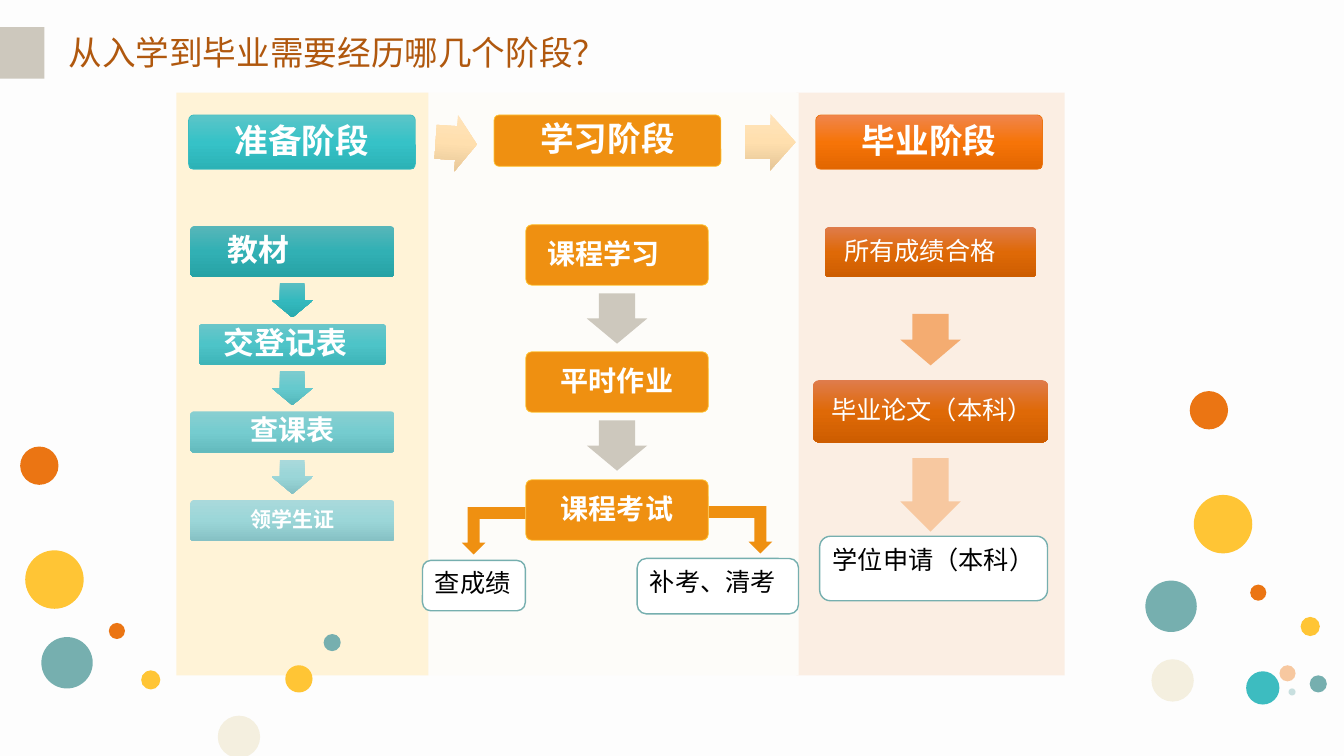
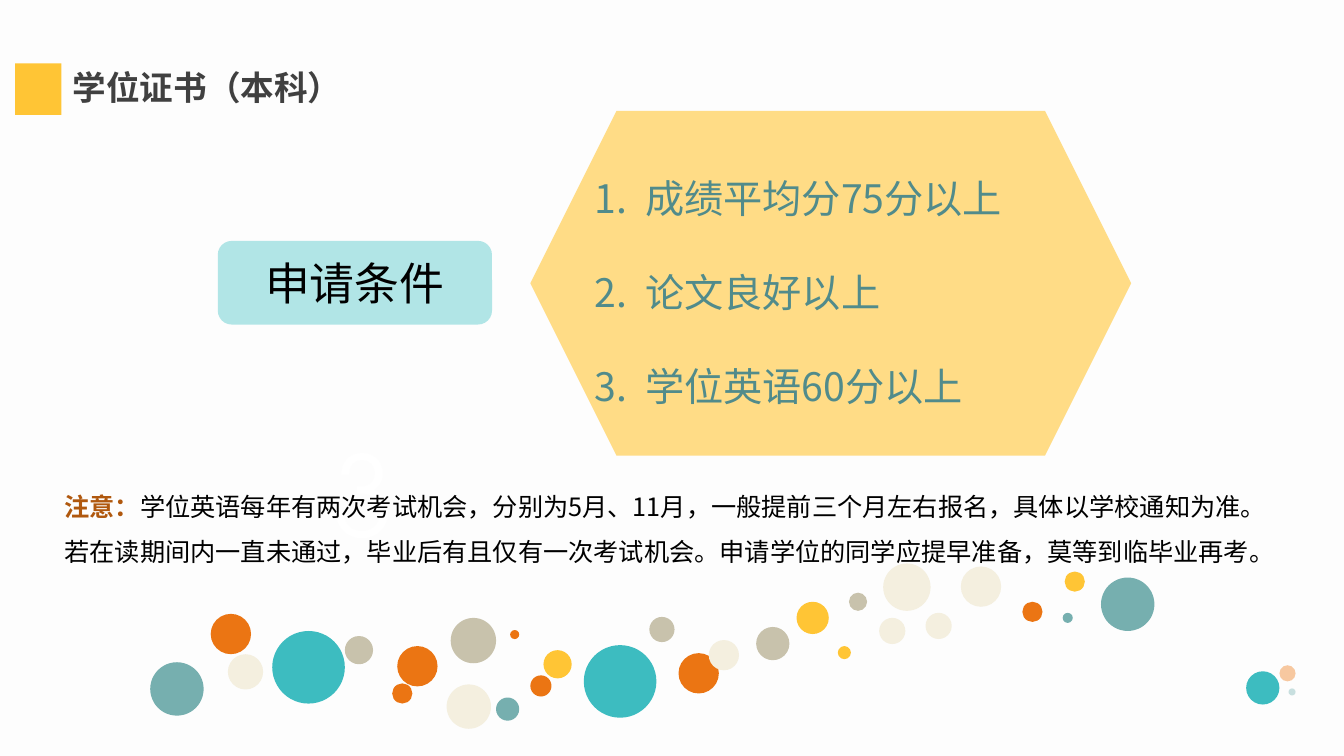
from dataclasses import dataclass

from lxml import etree
from pptx import Presentation
from pptx.dml.color import RGBColor
from pptx.enum import shapes as kinds, text as txt
from pptx.oxml.ns import qn
from pptx.util import Inches, Pt


@dataclass(frozen=True)
class Theme:
    font: str = "Noto Sans CJK SC"
    numeral_font: str = "TeX Gyre Adventor"
    paper: str = "FDFDFD"
    white: str = "FFFFFF"
    black: str = "000000"
    charcoal: str = "404040"
    rust: str = "B0580E"
    stone: str = "CDC8BD"
    taupe: str = "C8C2AC"
    ivory: str = "F4EFDF"
    teal: str = "3DBCC0"
    sage: str = "76AFAF"
    mist: str = "C8DFDF"
    deep_sage: str = "518B8B"
    aqua: str = "B1E5E6"
    gold: str = "FFC535"
    pale_gold: str = "FFDC86"
    cream: str = "FFF3D7"
    milk: str = "FDFCF9"
    amber: str = "EF9011"
    orange: str = "EB7513"
    apricot: str = "F4AC71"
    peach: str = "F7C8A0"
    sand_fade: tuple = ("FFE4BC", "FFDFAE", "E5C698")
    teal_fade: tuple = ("5CC5C8", "36C2C7", "2BB2B6")
    orange_fade: tuple = ("F0854C", "F67408", "E26600")
    brick_fade: tuple = ("DF7C4C", "DF6907", "CD5D00")
    teal_cards: tuple = (("58B6B9", "31B0B4", "27A2A5"), ("6BC6C9", "4DC4C8", "3EB4B8"),
                         ("89CFD1", "75CCCF", "63BABD"), ("A9D9DB", "9BD6D8", "86C1C4"))
    teal_arrows: tuple = (("5ABEC2", "34B9BE", "29AAAE"), ("7DCCCF", "65C9CD", "54B8BB"),
                          ("A9D9DB", "9AD6D8", "85C1C4"))
    title: int = 24
    heading: int = 24
    card_large: int = 22
    card: int = 20
    card_small: int = 15
    body: int = 18
    conditions: int = 28
    label: int = 32
    numeral: int = 80


T = Theme()
SHAPE = kinds.MSO_SHAPE
ALIGN = txt.PP_ALIGN
ANCHOR = txt.MSO_ANCHOR

CORNER_DOTS = [(12.36, 6.66, 0.33, T.teal), (12.69, 6.6, 0.16, T.peach), (12.78, 6.83, 0.07, T.mist)]

STAGES_TITLE = "从入学到毕业需要经历哪几个阶段？"
PANELS = [(7.9, 2.66, T.apricot, 18), (4.17, 3.75, T.milk, 100), (1.75, 2.5, T.cream, 100)]
STAGES = [
    {"heading": ("准备阶段", 1.87, 0.54, T.teal_fade, T.teal), "axis": 2.9, "outline": None,
     "cards": [("教材", T.card_large, True, 0.36, 2.24, 2.03, 0.51, T.teal_cards[0]),
               ("交登记表", T.card_large, True, 0.24, 3.21, 1.86, 0.41, T.teal_cards[1]),
               ("查课表", T.card, True, None, 4.08, 2.03, 0.41, T.teal_cards[2]),
               ("领学生证", T.card_small, True, None, 4.96, 2.03, 0.41, T.teal_cards[3])],
     "arrows": [(y, 0.41, 0.34, fade) for y, fade in zip((2.98, 3.85, 4.73), T.teal_arrows)]},
    {"heading": ("学习阶段", 4.9, 0.51, T.amber, T.gold), "axis": 6.12, "outline": T.gold,
     "cards": [("课程学习", T.card, True, 0.2, 2.23, 1.81, 0.6, T.amber),
               ("平时作业", T.card, True, None, 3.49, 1.81, 0.6, T.amber),
               ("课程考试", T.card, True, None, 4.76, 1.81, 0.6, T.amber)],
     "arrows": [(y, 0.6, 0.5, T.stone) for y in (3.16, 4.42)]},
    {"heading": ("毕业阶段", 8.09, 0.54, T.orange_fade, T.orange), "axis": 9.23, "outline": None,
     "cards": [("所有成绩合格", T.body, False, 0.18, 2.25, 2.1, 0.5, T.brick_fade),
               ("毕业论文（本科）", T.body, False, 0.16, 3.77, 2.33, 0.62, T.brick_fade)],
     "arrows": [(3.37, 0.6, 0.51, T.apricot), (4.91, 0.6, 0.73, T.peach)]},
]
STAGE_ARROWS = [(4.32, 1.14, 0.41, 3.7), (7.39, 1.13, 0.5, 0.2)]
EXAM_BRANCHES = [(4.58, 5.03, False), (7.03, 5.02, True)]
OUTCOMES = [("查成绩", 4.19, 5.56, 1.02, 0.5), ("补考、清考", 6.32, 5.54, 1.6, 0.55),
            ("学位申请（本科）", 8.13, 5.32, 2.26, 0.64)]
SIDE_DOTS = [
    (0.41, 6.32, 0.51, T.sage), (1.08, 6.18, 0.16, T.orange), (2.83, 6.6, 0.27, T.gold),
    (3.21, 6.29, 0.17, T.sage), (2.16, 7.1, 0.42, T.ivory), (1.4, 6.65, 0.19, T.gold),
    (0.2, 4.43, 0.38, T.orange), (0.25, 5.46, 0.58, T.gold), (11.36, 5.76, 0.51, T.sage),
    (12.4, 5.8, 0.16, T.orange), (11.42, 6.54, 0.42, T.ivory), (12.9, 6.12, 0.19, T.gold),
    (11.8, 3.88, 0.38, T.orange), (11.84, 4.91, 0.58, T.gold), (12.99, 6.7, 0.17, T.sage),
]

DEGREE_TITLE = "学位证书（本科）"
CONDITIONS_LABEL = "申请条件"
CONDITIONS = ["成绩平均分75分以上", "论文良好以上", "学位英语60分以上"]
NOTE_LEAD = "注意："
NOTE = ["学位英语每年有两次考试机会，分别为5月、11月，一般提前三个月左右报名，具体以学校通知为准。",
        "若在读期间内一直未通过，毕业后有且仅有一次考试机会。申请学位的同学应提早准备，莫等到临毕业再考。"]
STREAM_DOTS = [
    (8.31, 6.41, 0.13, T.gold), (5.06, 6.25, 0.09, T.orange), (7.5, 6.22, 0.33, T.taupe),
    (10.56, 5.67, 0.2, T.gold), (5.39, 6.45, 0.28, T.gold), (2.26, 6.49, 0.35, T.ivory),
    (3.89, 6.78, 0.2, T.orange), (10.14, 5.97, 0.2, T.orange), (2.09, 6.09, 0.4, T.orange),
    (3.94, 6.41, 0.4, T.orange), (4.47, 6.13, 0.45, T.taupe), (6.44, 6.12, 0.25, T.taupe),
    (8.42, 5.88, 0.18, T.taupe), (4.92, 6.92, 0.23, T.sage), (9.18, 6.08, 0.26, T.ivory),
    (8.72, 6.13, 0.26, T.ivory), (7.9, 5.97, 0.32, T.gold), (6.73, 6.48, 0.4, T.orange),
    (10.92, 5.73, 0.53, T.sage), (1.49, 6.57, 0.53, T.sage), (5.26, 6.7, 0.21, T.orange),
    (10.54, 6.08, 0.1, T.sage), (4.43, 6.79, 0.44, T.ivory), (3.42, 6.31, 0.28, T.taupe),
    (8.76, 5.59, 0.47, T.ivory), (9.53, 5.62, 0.4, T.ivory), (7.03, 6.35, 0.3, T.ivory),
    (2.7, 6.26, 0.72, T.teal), (5.79, 6.4, 0.72, T.teal),
]


def rgb(value):
    return RGBColor.from_string(value)


def paint(shape, fill, alpha=100):
    if isinstance(fill, str):
        shape.fill.solid()
        shape.fill.fore_color.rgb = rgb(fill)
        if alpha < 100:
            color = shape._element.spPr.find(qn("a:solidFill"))[0]
            etree.SubElement(color, qn("a:alpha"), val=str(alpha * 1000))
        return
    shape.fill.gradient()
    shape.fill.gradient_angle = 270
    stops = shape._element.spPr.find(qn("a:gradFill")).find(qn("a:gsLst"))
    for old_stop in list(stops):
        stops.remove(old_stop)
    for position, color in zip((0, 50000, 100000), fill):
        stop = etree.SubElement(stops, qn("a:gs"), pos=str(position))
        etree.SubElement(stop, qn("a:srgbClr"), val=color)


def add_part(slide, kind, left, top, width, height, fill, outline=None, weight=0.5, alpha=100):
    part = slide.shapes.add_shape(kind, Inches(left), Inches(top), Inches(width), Inches(height))
    part.shadow.inherit = False
    paint(part, fill, alpha)
    if outline:
        part.line.color.rgb = rgb(outline)
        part.line.width = Pt(weight)
    else:
        part.line.fill.background()
    return part


def style_run(run, size, color, bold=False, font=T.font):
    run.font.size = Pt(size)
    run.font.bold = bold
    run.font.color.rgb = rgb(color)
    run.font.name = font
    etree.SubElement(run.font._element, qn("a:ea"), typeface=font)


def write(frame, lines, size, color, bold=False, align=ALIGN.LEFT, anchor=ANCHOR.TOP,
          spacing=1.0, font=T.font):
    frame.text = "\n".join(lines)
    frame.word_wrap = True
    frame.auto_size = txt.MSO_AUTO_SIZE.NONE
    frame.vertical_anchor = anchor
    for paragraph in frame.paragraphs:
        paragraph.alignment = align
        paragraph.line_spacing = spacing
        paragraph.space_before = Pt(0)
        for run in paragraph.runs:
            style_run(run, size, color, bold, font)


def place(part, left, top, width, height):
    part.left, part.top = Inches(left), Inches(top)
    part.width, part.height = Inches(width), Inches(height)


def add_dots(slide, dots):
    for left, top, size, color in dots:
        add_part(slide, SHAPE.OVAL, left, top, size, size, color)


def start_slide(prs, layout, title, title_box, color, bold, band_box, band_fill):
    slide = prs.slides.add_slide(prs.slide_layouts[layout])
    add_dots(slide, CORNER_DOTS)
    add_part(slide, SHAPE.RECTANGLE, *band_box, band_fill)
    place(slide.shapes.title, *title_box)
    write(slide.shapes.title.text_frame, [title], T.title, color, bold)
    return slide


def add_card(slide, words, size, bold, indent, left, top, width, height, fill, outline):
    card = add_part(slide, SHAPE.ROUNDED_RECTANGLE, left, top, width, height, fill, outline)
    card.adjustments[0] = 0.1
    frame = card.text_frame
    frame.margin_left = Inches(indent or 0)
    frame.margin_right = frame.margin_top = frame.margin_bottom = 0
    align = ALIGN.CENTER if indent is None else ALIGN.LEFT
    write(frame, [words], size, T.white, bold, align, ANCHOR.MIDDLE, 0.9)


def add_arrow(slide, kind, left, top, width, height, fill):
    arrow = add_part(slide, kind, left, top, width, height, fill)
    arrow.adjustments[0] = 0.6
    arrow.adjustments[1] = 0.5
    return arrow


def add_stage(slide, stage):
    words, left, height, fill, outline = stage["heading"]
    add_card(slide, words, T.heading, True, None, left, 1.14, 2.25, height, fill, outline)
    for words, size, bold, indent, top, width, height, fill in stage["cards"]:
        add_card(slide, words, size, bold, indent, stage["axis"] - width / 2, top,
                 width, height, fill, stage["outline"])
    for middle, width, height, fill in stage["arrows"]:
        add_arrow(slide, SHAPE.DOWN_ARROW, stage["axis"] - width / 2, middle - height / 2,
                  width, height, fill)


def build_stages(prs):
    slide = start_slide(prs, 5, STAGES_TITLE, (0.58, 0.27, 6.04, 0.5), T.rust, False,
                        (0, 0.27, 0.44, 0.51), T.stone)
    for left, width, fill, alpha in PANELS:
        add_part(slide, SHAPE.RECTANGLE, left, 0.92, width, 5.78, fill, alpha=alpha)
    for stage in STAGES:
        add_stage(slide, stage)
    for left, top, width, turn in STAGE_ARROWS:
        add_arrow(slide, SHAPE.RIGHT_ARROW, left, top, width, 0.56, T.sand_fade).rotation = turn
    for left, top, mirrored in EXAM_BRANCHES:
        branch = add_part(slide, SHAPE.BENT_UP_ARROW, left, top, 0.63, 0.47, T.amber)
        branch.rotation = 180
        if mirrored:
            branch._element.spPr.find(qn("a:xfrm")).set("flipH", "1")
    for words, *box in OUTCOMES:
        outcome = add_part(slide, SHAPE.ROUNDED_RECTANGLE, *box, T.white, T.sage, 1)
        outcome.text_frame.margin_right = 0
        write(outcome.text_frame, [words], T.body, T.black)
    add_dots(slide, SIDE_DOTS)


def add_text(slide, box, lines, size, color, **options):
    frame = slide.shapes.add_textbox(*map(Inches, box)).text_frame
    write(frame, lines, size, color, **options)
    return frame


def add_conditions(slide):
    conditions = slide.placeholders[1]
    place(conditions, 5.8, 1.21, 5, 2.93)
    write(conditions.text_frame, CONDITIONS, T.conditions, T.deep_sage, spacing=2.0)
    for paragraph in conditions.text_frame.paragraphs:
        props = paragraph._p.get_or_add_pPr()
        props.set("marL", str(Inches(0.5)))
        props.set("indent", str(-Inches(0.5)))
        etree.SubElement(props, qn("a:buFont"), typeface=T.font)
        etree.SubElement(props, qn("a:buAutoNum"), type="arabicPeriod")
    slide.shapes._spTree.append(conditions._element)


def build_degree(prs):
    slide = start_slide(prs, 1, DEGREE_TITLE, (0.62, 0.61, 6.28, 0.5), T.charcoal, True,
                        (0.15, 0.63, 0.46, 0.51), T.gold)
    add_part(slide, SHAPE.HEXAGON, 5.26, 1.1, 5.96, 3.42, T.pale_gold)
    label = add_part(slide, SHAPE.ROUNDED_RECTANGLE, 2.16, 2.39, 2.72, 0.83, T.aqua)
    write(label.text_frame, [CONDITIONS_LABEL], T.label, T.black,
          align=ALIGN.CENTER, anchor=ANCHOR.MIDDLE)
    add_dots(slide, STREAM_DOTS)
    add_text(slide, (3.2, 4.17, 0.7, 1.45), ["3"], T.numeral, T.white,
             align=ALIGN.CENTER, font=T.numeral_font)
    add_conditions(slide)
    note = add_text(slide, (0.54, 4.67, 12.38, 1.01), [NOTE_LEAD, NOTE[1]], T.body, T.black,
                    spacing=1.5)
    opening = note.paragraphs[0]
    opening.runs[0].font.bold = True
    opening.runs[0].font.color.rgb = rgb(T.rust)
    detail = opening.add_run()
    detail.text = NOTE[0]
    style_run(detail, T.body, T.black)


def main():
    prs = Presentation()
    prs.slide_width, prs.slide_height = Inches(13.33), Inches(7.5)
    backdrop = prs.slide_master.background.fill
    backdrop.solid()
    backdrop.fore_color.rgb = rgb(T.paper)
    build_stages(prs)
    build_degree(prs)
    prs.save("out.pptx")


if __name__ == "__main__":
    main()
